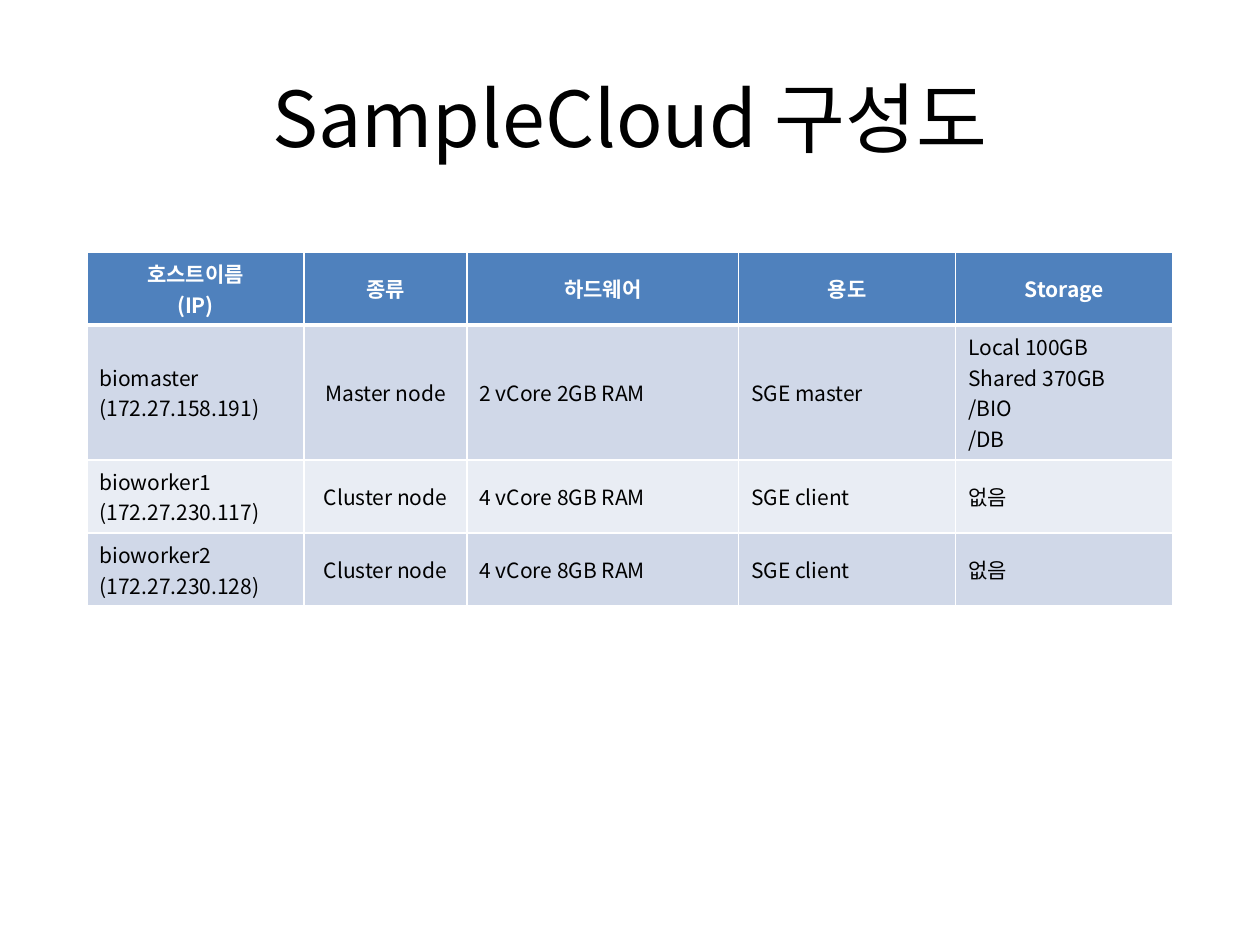
from lxml.etree import SubElement
from pptx import Presentation
from pptx.dml.color import RGBColor as Color
from pptx.enum.text import MSO_ANCHOR as Anchor, PP_ALIGN as Align
from pptx.oxml.ns import qn
from pptx.util import Pt

FONT = "Noto Sans CJK KR"
COLORS = {
    "text": "000000",
    "white": "FFFFFF",
    "header": "4F81BD",
    "odd_row": "D0D8E8",
    "even_row": "E9EDF4",
}


def write_text(frame, text, size=12, color="text", bold=False, align=Align.LEFT):
    """Fill a text frame, one paragraph for each line of text."""
    frame.word_wrap = True
    for index, line in enumerate(text.split("\n")):
        paragraph = frame.paragraphs[0] if index == 0 else frame.add_paragraph()
        paragraph.alignment = align
        run = paragraph.add_run()
        run.text = line
        run.font.name = FONT
        run.font.size = Pt(size)
        run.font.bold = bold
        run.font.color.rgb = Color.from_string(COLORS[color])
        SubElement(run.font._element, qn("a:ea"), typeface=FONT)


def add_borders(cell, bottom_width):
    properties = cell._tc.get_or_add_tcPr()
    widths = {"a:lnL": 1, "a:lnR": 1, "a:lnT": 1, "a:lnB": bottom_width}
    for index, (side, width) in enumerate(widths.items()):
        line = SubElement(properties, qn(side), w=str(Pt(width)))
        fill = SubElement(line, qn("a:solidFill"))
        SubElement(fill, qn("a:srgbClr"), val=COLORS["white"])
        properties.insert(index, line)


presentation = Presentation()
presentation.slide_width = Pt(720)
presentation.slide_height = Pt(540)
slide = presentation.slides.add_slide(presentation.slide_layouts[6])

title = slide.shapes.add_textbox(Pt(36), Pt(21.6), Pt(648), Pt(90))
title.text_frame.vertical_anchor = Anchor.MIDDLE
write_text(title.text_frame, "SampleCloud 구성도", size=44, align=Align.CENTER)

hosts = [
    ["호스트이름\n(IP)", "종류", "하드웨어", "용도", "Storage"],
    ["biomaster\n(172.27.158.191)", "Master node", "2 vCore 2GB RAM",
     "SGE master", "Local 100GB\nShared 370GB\n/BIO\n/DB"],
    ["bioworker1\n(172.27.230.117)", "Cluster node", "4 vCore 8GB RAM",
     "SGE client", "없음"],
    ["bioworker2\n(172.27.230.128)", "Cluster node", "4 vCore 8GB RAM",
     "SGE client", "없음"],
]
column_shares = [4, 3, 5, 4, 4]
row_heights = [41.8, 77, 41.8, 41.8]
type_column = 1
share_width = 31.03

table = slide.shapes.add_table(
    len(hosts), len(column_shares), Pt(49.7), Pt(144),
    Pt(share_width * sum(column_shares)), Pt(sum(row_heights))).table
table.horz_banding = False
for column, share in zip(table.columns, column_shares):
    column.width = Pt(share * share_width)
for row, height in zip(table.rows, row_heights):
    row.height = Pt(height)

for row_index, values in enumerate(hosts):
    is_header = row_index == 0
    fill_name = "header" if is_header else "odd_row" if row_index % 2 else "even_row"
    for column_index, value in enumerate(values):
        cell = table.cell(row_index, column_index)
        cell.vertical_anchor = Anchor.MIDDLE
        cell.fill.solid()
        cell.fill.fore_color.rgb = Color.from_string(COLORS[fill_name])
        add_borders(cell, bottom_width=3 if is_header else 1)
        centred = is_header or column_index == type_column
        write_text(cell.text_frame, value, bold=is_header,
                   color="white" if is_header else "text",
                   align=Align.CENTER if centred else Align.LEFT)

presentation.save("out.pptx")
